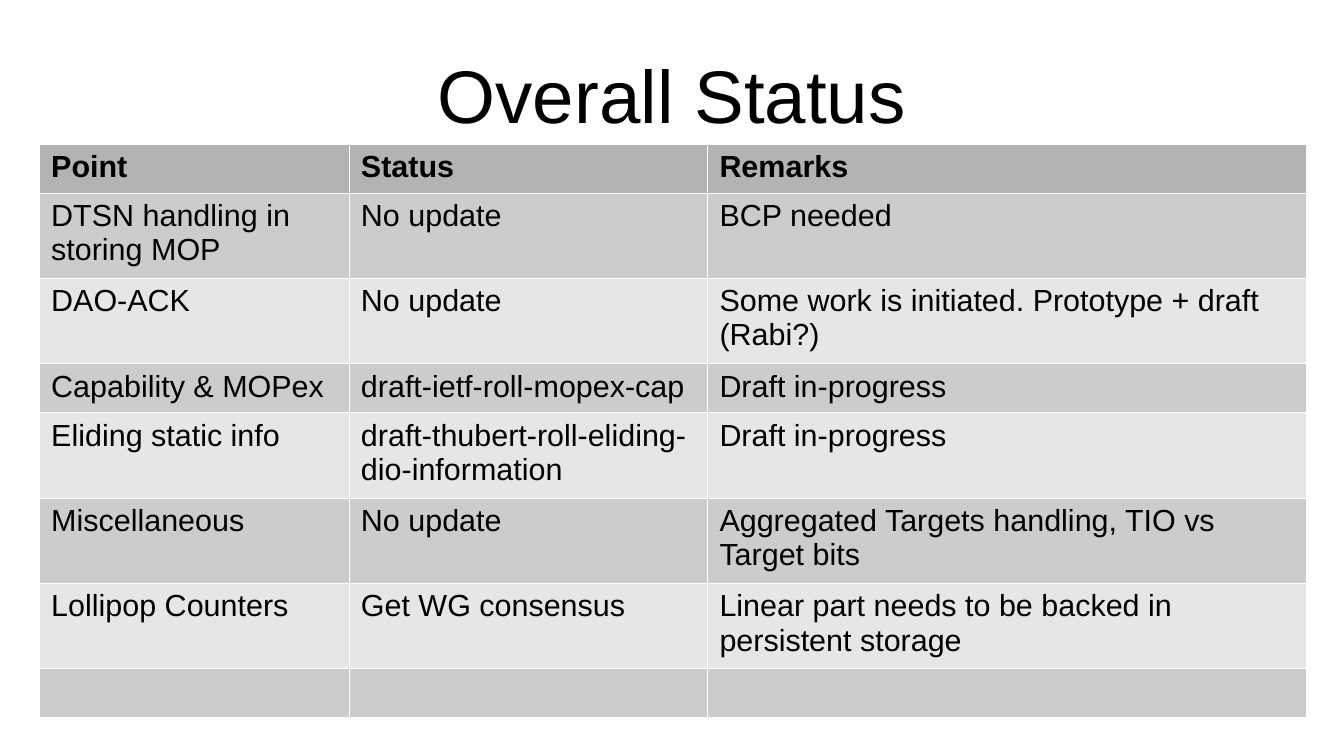
from dataclasses import dataclass
from lxml import etree
from pptx import Presentation
from pptx import util as u
from pptx.dml.color import RGBColor
from pptx.enum import text
from pptx.oxml import ns


@dataclass(frozen=True)
class Theme:
    font: str = "Arial"
    ink: str = "000000"
    edge: str = "FFFFFF"
    head: str = "B3B3B3"
    bands: tuple = ("CCCCCC", "E6E6E6")
    title: int = 44
    body: int = 18
    line: float = 0.06


THEME = Theme()
WIDTHS = (2.54, 2.94, 4.91)
SHORT, TALL = 0.4, 0.7
ROWS = (
    (SHORT, ("Point", "Status", "Remarks")),
    (TALL, ("DTSN handling in storing MOP", "No update", "BCP needed")),
    (TALL, ("DAO-ACK", "No update", "Some work is initiated. Prototype + draft (Rabi?)")),
    (SHORT, ("Capability & MOPex", "draft-ietf-roll-mopex-cap", "Draft in-progress")),
    (TALL, ("Eliding static info", "draft-thubert-roll-eliding-dio-information", "Draft in-progress")),
    (TALL, ("Miscellaneous", "No update", "Aggregated Targets handling, TIO vs Target bits")),
    (TALL, ("Lollipop Counters", "Get WG consensus", "Linear part needs to be backed in persistent storage")),
    (SHORT, ("", "", "")),
)


def add_run(para, words, size, bold=False):
    run = para.add_run()
    run.text = words
    font = run.font
    font.name, font.size, font.bold = THEME.font, u.Pt(size), bold
    font.color.rgb = RGBColor.from_string(THEME.ink)


def add_edges(cell):
    props = cell._tc.get_or_add_tcPr()
    for side in ("lnL", "lnR", "lnT", "lnB"):
        line = etree.SubElement(props, ns.qn(f"a:{side}"), w=str(u.Pt(THEME.line)))
        fill = etree.SubElement(line, ns.qn("a:solidFill"))
        etree.SubElement(fill, ns.qn("a:srgbClr"), val=THEME.edge)


def draw_title(slide, box, words):
    frame = slide.shapes.add_textbox(*map(u.Inches, box)).text_frame
    frame.word_wrap = True
    frame.vertical_anchor = text.MSO_ANCHOR.MIDDLE
    frame.margin_left = frame.margin_right = frame.margin_top = frame.margin_bottom = 0
    para = frame.paragraphs[0]
    para.alignment = text.PP_ALIGN.CENTER
    add_run(para, words, THEME.title)


def draw_table(slide, box, widths, rows):
    table = slide.shapes.add_table(len(rows), len(widths), *map(u.Inches, box)).table
    table.horz_banding = False
    for col, width in zip(table.columns, widths):
        col.width = u.Inches(width)
    for i, (height, words) in enumerate(rows):
        table.rows[i].height = u.Inches(height)
        shade = THEME.bands[(i - 1) % 2] if i else THEME.head
        for cell, label in zip(table.rows[i].cells, words):
            add_edges(cell)
            cell.fill.solid()
            cell.fill.fore_color.rgb = RGBColor.from_string(shade)
            cell.margin_left = cell.margin_right = u.Inches(0.1)
            cell.margin_top = cell.margin_bottom = u.Inches(0.05)
            if label:
                add_run(cell.text_frame.paragraphs[0], label, THEME.body, i == 0)


def main():
    deck = Presentation()
    deck.slide_width, deck.slide_height = u.Inches(11.02), u.Inches(6.2)
    slide = deck.slides.add_slide(deck.slide_layouts[6])
    draw_title(slide, (0.55, 0.25, 9.92, 1.04), "Overall Status")
    high = sum(height for height, words in ROWS)
    draw_table(slide, (0.32, 1.18, sum(WIDTHS), high), WIDTHS, ROWS)
    deck.save("out.pptx")


if __name__ == "__main__":
    main()
